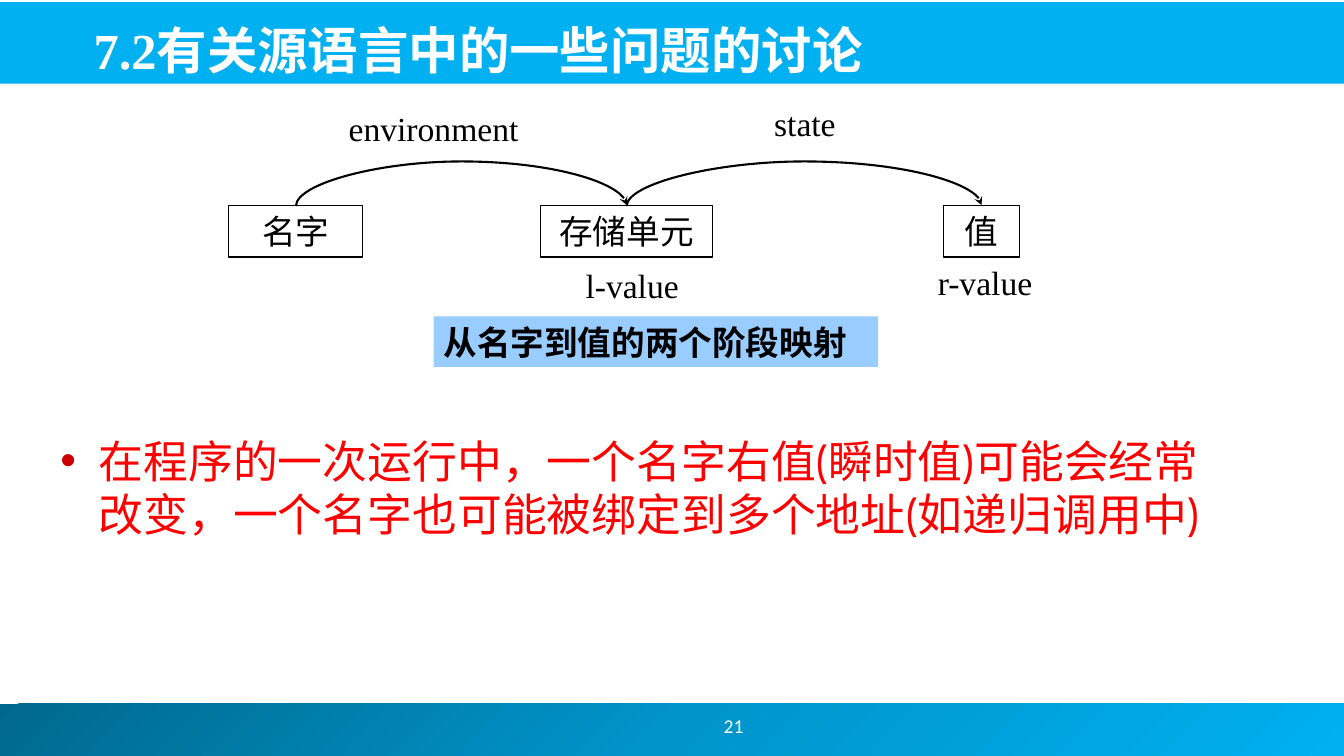
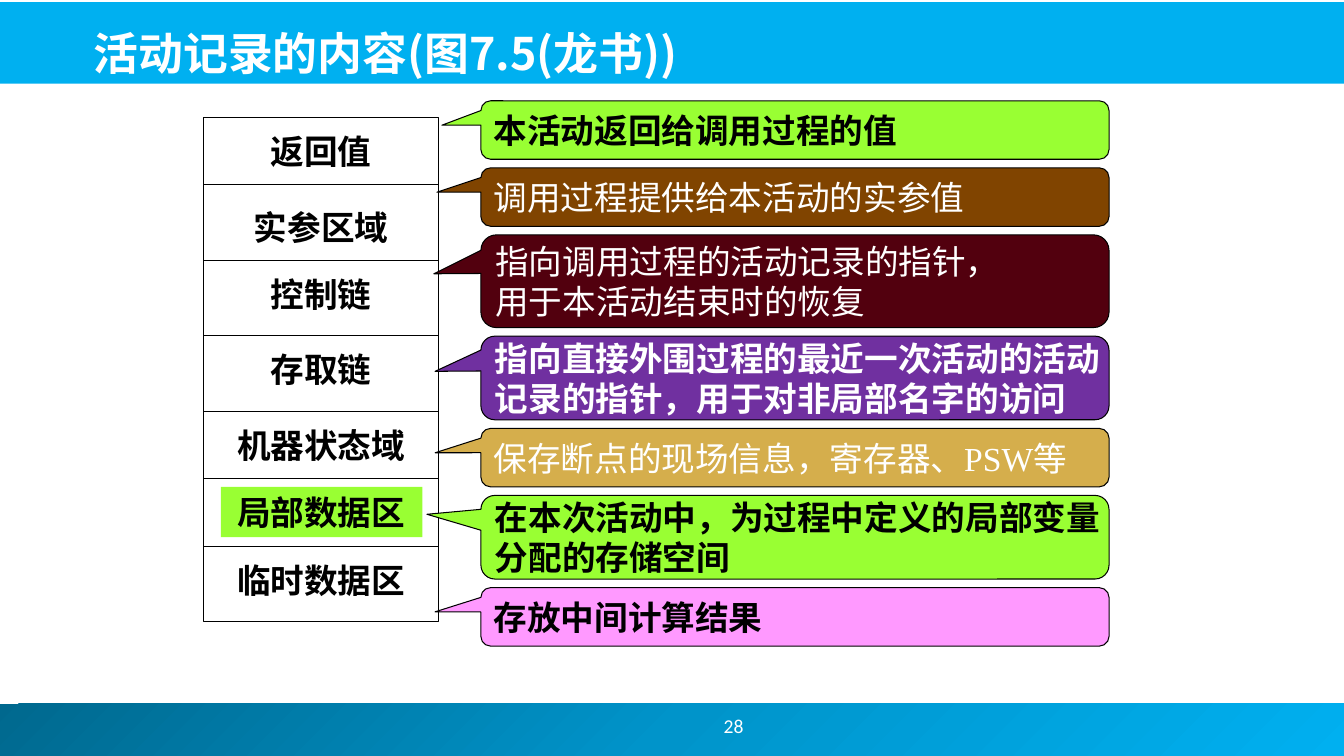
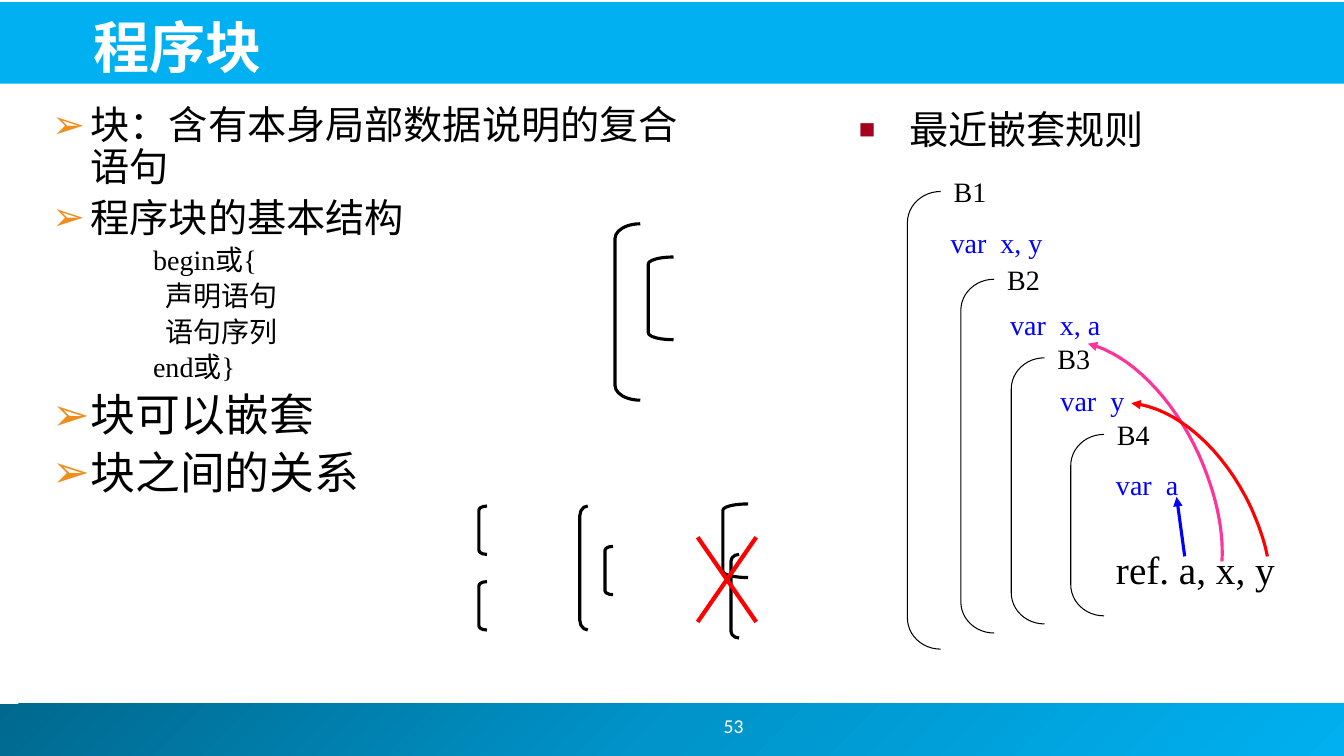
from copy import deepcopy
from dataclasses import dataclass

from lxml.etree import SubElement
from pptx import Presentation
from pptx.dml.color import RGBColor
from pptx.enum.shapes import MSO_CONNECTOR, MSO_SHAPE
from pptx.enum.text import MSO_ANCHOR, PP_ALIGN
from pptx.oxml.ns import qn
from pptx.util import Inches, Pt


@dataclass(frozen=True)
class Theme:
    """Colours, fonts and type sizes of the deck."""
    sky: str = "00B0F0"
    ramp: tuple = ("00688E", "0094CA", "00B0F0")
    white: str = "FFFFFF"
    black: str = "000000"
    red: str = "FF0000"
    blue: str = "0000FF"
    pink: str = "FF3399"
    pale: str = "99CCFF"
    lime: str = "99FF33"
    brown: str = "804400"
    wine: str = "52000E"
    purple: str = "7030A0"
    gold: str = "D5AE4C"
    rose: str = "FF99FF"
    dot: str = "CC0000"
    arrow: str = "EF8E1C"
    square: str = "A4001D"
    serif: str = "Times New Roman"
    sans: str = "Noto Sans CJK JP"
    body: str = "Cabin"
    number: str = "Calibri"
    tiny: int = 14
    small: int = 20
    mid: int = 24
    large: int = 28
    huge: int = 32
    thin: float = 0.75
    curve: float = 1.5
    bold: float = 2.25
    heavy: float = 3


T = Theme()


def rgb(code):
    """Return a colour from its hex code."""
    return RGBColor.from_string(code)


def bullet(par, char, color, left, hang, scale=100):
    """Give a paragraph a coloured hanging bullet."""
    props = par._p.get_or_add_pPr()
    props.set("marL", str(Inches(left)))
    props.set("indent", str(-Inches(hang)))
    if char:
        tint = SubElement(props, qn("a:buClr"))
        SubElement(tint, qn("a:srgbClr")).set("val", color)
        SubElement(props, qn("a:buSzPct")).set("val", str(scale * 1000))
        SubElement(props, qn("a:buFont")).set("typeface", "Arial")
        SubElement(props, qn("a:buChar")).set("char", char)


def write(shape, lines, anchor=MSO_ANCHOR.TOP, wrap=True, **base):
    """Write lines, each a string or a (string, format) pair, in a shape."""
    frame = shape.text_frame
    frame.word_wrap = wrap
    frame.vertical_anchor = anchor
    for i, line in enumerate([lines] if isinstance(lines, str) else lines):
        words, extra = (line, {}) if isinstance(line, str) else line
        fmt = {**base, **extra}
        par = frame.add_paragraph() if i else frame.paragraphs[0]
        if "mark" in fmt:
            bullet(par, *fmt["mark"])
        par.alignment = fmt.get("align", PP_ALIGN.LEFT)
        par.line_spacing = fmt.get("lead")
        size = fmt.get("size", T.mid)
        if i and "gap" in fmt:
            par.space_before = Pt(size * fmt["gap"])
        run = par.add_run()
        run.text = words
        run.font.size = Pt(size)
        run.font.name = fmt.get("font", T.serif)
        run.font.bold = fmt.get("bold", False)
        run.font.color.rgb = rgb(fmt.get("color", T.black))
    return shape


def text(slide, box, lines, **fmt):
    """Add a text box."""
    return write(slide.shapes.add_textbox(*map(Inches, box)), lines, **fmt)


def form(slide, kind, box, fill=None, line=None, width=T.thin, adj=()):
    """Add a preset shape without shadow."""
    shape = slide.shapes.add_shape(kind, *map(Inches, box))
    shape.shadow.inherit = False
    for i, val in enumerate(adj):
        shape.adjustments[i] = val
    if fill:
        shape.fill.solid()
        shape.fill.fore_color.rgb = rgb(fill)
    else:
        shape.fill.background()
    if line:
        stroke(shape, line, width)
    else:
        shape.line.fill.background()
    return shape


def stroke(shape, color, width, head=None):
    """Set line colour, width and arrowhead."""
    shape.line.color.rgb = rgb(color)
    shape.line.width = Pt(width)
    if head:
        SubElement(shape.line._get_or_add_ln(), qn("a:tailEnd")).set("type", head)


def link(slide, ends, color=T.black, width=T.thin, head=None, kind=MSO_CONNECTOR.STRAIGHT):
    """Add a connector without shadow."""
    wire = slide.shapes.add_connector(kind, *map(Inches, ends))
    stroke(wire, color, width, head)
    SubElement(wire._element.spPr, qn("a:effectLst"))
    return wire


def arch(slide, first, last, rise):
    """Join the tops of two boxes by a curved arrow."""
    wire = link(slide, (0, 0, 1, 1), width=T.curve, head="stealth", kind=MSO_CONNECTOR.CURVE)
    wire.begin_connect(first, 0)
    wire.end_connect(last, 0)
    start, end = (s.left + s.width // 2 for s in (first, last))
    thick, span = Inches(0.01), end - start
    wire.left, wire.top = (start + end - thick) // 2, first.top - span // 2
    wire.width, wire.height = thick, span
    spot = wire._element.spPr.find(qn("a:xfrm"))
    for key, val in (("rot", "5400000"), ("flipH", "1"), ("flipV", "1")):
        spot.set(key, val)
    guides = wire._element.spPr.find(qn("a:prstGeom")).get_or_add_avLst()
    guide = SubElement(guides, qn("a:gd"))
    guide.set("name", "adj1")
    guide.set("fmla", f"val {round(Inches(rise) / thick * 100000)}")


def sweep(slide, x, y, start, curves, color):
    """Draw an arrow along cubic curves."""
    steps, dots, here = 16, [], start
    for one, two, goal in curves:
        for i in range(1, steps + 1):
            t = i / steps
            u = 1 - t
            dots.append(tuple(
                u**3 * a + 3 * u * u * t * b + 3 * u * t * t * c + t**3 * d
                for a, b, c, d in zip(here, one, two, goal)))
        here = goal
    pen = slide.shapes.build_freeform(Inches(x + start[0]), Inches(y + start[1]))
    pen.add_line_segments([(Inches(x + a), Inches(y + b)) for a, b in dots], close=False)
    shape = pen.convert_to_shape()
    shape.shadow.inherit = False
    shape.fill.background()
    stroke(shape, color, T.bold, "triangle")


def page(deck, title, number, size, font=T.sans):
    """Add a slide with its bands, title and number."""
    slide = deck.slides.add_slide(deck.slide_layouts[6])
    foot = form(slide, MSO_SHAPE.RECTANGLE, (-0.05, 6.98, 13.39, 0.52))
    foot.fill.gradient()
    foot.fill.gradient_angle = 315
    stops = foot._element.spPr.find(".//" + qn("a:gsLst"))
    stops.insert(1, deepcopy(stops[0]))
    for stop, color, place in zip(foot.fill.gradient_stops, T.ramp, (0, 0.5, 1)):
        stop.color.rgb = rgb(color)
        stop.position = place
    form(slide, MSO_SHAPE.RECTANGLE, (-0.02, 0.02, 13.36, 0.81), T.sky)
    text(slide, (5.83, 6.95, 2.89, 0.5), number, size=T.tiny, font=T.number, color=T.white,
         align=PP_ALIGN.CENTER, anchor=MSO_ANCHOR.MIDDLE)
    text(slide, (0.83, 0.05, 11.81, 0.79), title, size=size, font=font, color=T.white,
         bold=True, anchor=MSO_ANCHOR.BOTTOM)
    return slide


def chain(slide, x, y):
    """Draw the mapping from name to store to value."""
    parts = []
    for dx, wide, name in ((0, 1.33, "名字"), (3.09, 1.71, "存储单元"), (7.09, 0.75, "值")):
        box = form(slide, MSO_SHAPE.RECTANGLE, (x + dx, y + 1.07, wide, 0.51), T.white, T.black)
        parts.append(write(box, name, align=PP_ALIGN.CENTER))
    for first, last in zip(parts, parts[1:]):
        arch(slide, first, last, 0.45)
    for dx, dy, wide, name in ((1.09, 0.05, 2.04, "environment"), (5.31, 0, 1.17, "state")):
        text(slide, (x + dx, y + dy, wide, 0.51), name)
    for dx, dy, name in ((3, 1.61, "l-value"), (6.5, 1.58, "r-value")):
        text(slide, (x + dx, y + dy, 2, 0.5), name, align=PP_ALIGN.CENTER)
    note = form(slide, MSO_SHAPE.RECTANGLE, (x + 2.03, y + 2.17, 4.41, 0.5), T.pale)
    write(note, "从名字到值的两个阶段映射", bold=True)


def stack(slide, x, y):
    """Draw the fields of an activation record."""
    wide, high = 2.33, 5
    rows = ((0, 0.08, "返回值"), (0.66, 0.83, "实参区域"), (1.41, 1.5, "控制链"),
            (2.16, 2.24, "存取链"), (2.91, 3, "机器状态域"), (3.58, 3.66, "局部数据区"),
            (4.25, 4.33, "临时数据区"))
    form(slide, MSO_SHAPE.RECTANGLE, (x + 0.17, y + 3.66, 2, 0.5), T.lime)
    form(slide, MSO_SHAPE.RECTANGLE, (x, y, wide, high), line=T.black)
    for edge, top, name in rows:
        if edge:
            link(slide, (x, y + edge, x + wide, y + edge))
        text(slide, (x, y + top, wide, 0.5), name, bold=True,
             align=PP_ALIGN.CENTER, anchor=MSO_ANCHOR.MIDDLE)


def notes(slide, x, y):
    """Draw the callouts that explain each field."""
    gap = 0.085
    rows = (
        (0.58, -0.562, -0.083, T.lime, True, ["本活动返回给调用过程的值"]),
        (0.58, -0.57, -0.083, T.brown, False, ["调用过程提供给本活动的实参值"]),
        (0.92, -0.575, -0.08, T.wine, False,
         ["指向调用过程的活动记录的指针，", "用于本活动结束时的恢复"]),
        (0.83, -0.573, -0.079, T.purple, True,
         ["指向直接外围过程的最近一次活动的活动", "记录的指针，用于对非局部名字的访问"]),
        (0.58, -0.573, -0.083, T.gold, False, ["保存断点的现场信息，寄存器、PSW等"]),
        (0.83, -0.586, -0.274, T.lime, True,
         ["在本次活动中，为过程中定义的局部变量", "分配的存储空间"]),
        (0.58, -0.573, -0.086, T.rose, True, ["存放中间计算结果"]),
    )
    for high, tipx, tipy, fill, bold, lines in rows:
        box = form(slide, MSO_SHAPE.ROUNDED_RECTANGULAR_CALLOUT, (x, y, 6.23, high),
                   fill, T.black, adj=(tipx, tipy, 0.167))
        color = T.black if fill in (T.lime, T.rose) else T.white
        write(box, lines, color=color, bold=bold, wrap=False, anchor=MSO_ANCHOR.MIDDLE)
        y += high + gap


def outline(slide, x, y):
    """Write the list about blocks."""
    point = {"mark": ("➢", T.arrow, 0.38, 0.38)}
    code = {"mark": (None, None, 1, 0), "size": T.small}
    big = {**point, "size": T.huge}
    text(slide, (x, y, 6.47, 5.44), [
        ("块：含有本身局部数据说明的复合语句", point), ("程序块的基本结构", point),
        ("begin或{", code), ("  声明语句", code), ("  语句序列", code), ("end或}", code),
        ("块可以嵌套", big), ("块之间的关系", big),
    ], size=T.large, lead=0.9, gap=0.2)


def hooks(slide, x, y, rows, width=T.bold):
    """Draw left brackets."""
    for dx, dy, wide, high, bend in rows:
        form(slide, MSO_SHAPE.LEFT_BRACKET, (x + dx, y + dy, wide, high),
             line=T.black, width=width, adj=(bend,))


def kinds(slide, x, y):
    """Draw block relations, with overlap crossed out."""
    hooks(slide, x, y, (
        (0, 0.02, 0.08, 0.48, 0.483), (0, 0.77, 0.08, 0.48, 0.483),
        (1, 0.02, 0.08, 1.23, 1.233), (1.25, 0.42, 0.08, 0.48, 0.483),
        (2.5, 0.5, 0.08, 0.83, 0.833), (2.42, 0, 0.25, 0.73, 0.244)))
    for start, end in ((2.75, 2.17), (2.17, 2.75)):
        link(slide, (x + start, y + 0.33, x + end, y + 1.17), T.red, T.heavy)


def scopes(slide, x, y):
    """Draw nested scopes and the bindings of names."""
    rows = ((0, 0.22, 4.54, "B1", 0.33, 0.5, 1.12, "var  x, y"),
            (0.53, 1.09, 3.51, "B2", 0.92, 1.32, 1.1, "var  x, a"),
            (1.03, 1.87, 2.64, "B3", 1.42, 2.07, 0.84, "var  y"),
            (1.62, 2.63, 1.8, "B4", 1.97, 2.9, 0.82, "var  a"))
    fmt = {"size": T.small, "wrap": False, "anchor": MSO_ANCHOR.MIDDLE}
    for dx, dy, high, name, vx, vy, wide, var in rows:
        hooks(slide, x, y, [(dx, dy, 0.33, high, 0.938)], T.thin)
        text(slide, (x + dx + 0.36, y + dy - 0.22, 0.53, 0.44), name, **fmt)
        text(slide, (x + vx, y + vy, wide, 0.44), var, color=T.blue, **fmt)
    text(slide, (x + 1.97, y + 3.68, 1.79, 0.57), "ref. a, x, y", **{**fmt, "size": T.large})
    link(slide, (x + 2.75, y + 3.84, x + 2.67, y + 3.25), T.blue, T.bold, "triangle")
    sweep(slide, x, y, (3.12, 3.89), (
        ((3.14, 3.56), (3.05, 3.19), (2.89, 2.83)),
        ((2.63, 2.26), (2.2, 1.83), (1.79, 1.73))), T.pink)
    sweep(slide, x, y, (3.57, 3.84), (
        ((3.54, 3.68), (3.48, 3.52), (3.41, 3.36)),
        ((3.14, 2.78), (2.67, 2.36), (2.22, 2.32))), T.red)


def main():
    """Build and save the deck."""
    deck = Presentation()
    deck.slide_width, deck.slide_height = Inches(13.33), Inches(7.5)

    slide = page(deck, "7.2有关源语言中的一些问题的讨论", "21", 36, T.serif)
    chain(slide, 2.27, 0.97)
    text(slide, (0.5, 4.25, 11.83, 1.83),
         "在程序的一次运行中，一个名字右值(瞬时值)可能会经常改变，"
         "一个名字也可能被绑定到多个地址(如递归调用中)",
         size=T.huge, font=T.body, color=T.red, mark=("•", T.dot, 0.38, 0.38))

    slide = page(deck, "活动记录的内容(图7.5(龙书))", "28", T.huge)
    stack(slide, 2.02, 1.17)
    notes(slide, 4.77, 1)

    slide = page(deck, "程序块", "53", 40)
    outline(slide, 0.42, 1)
    hooks(slide, 6.1, 2.22, ((0, 0, 0.25, 1.75, 0.583), (0.33, 0.33, 0.25, 0.82, 0.272)))
    kinds(slide, 4.75, 5)
    text(slide, (8.42, 1, 4.5, 0.67), "最近嵌套规则", size=T.large,
         mark=("■", T.square, 0.5, 0.5, 70))
    scopes(slide, 9, 1.68)

    deck.save("out.pptx")


if __name__ == "__main__":
    main()
